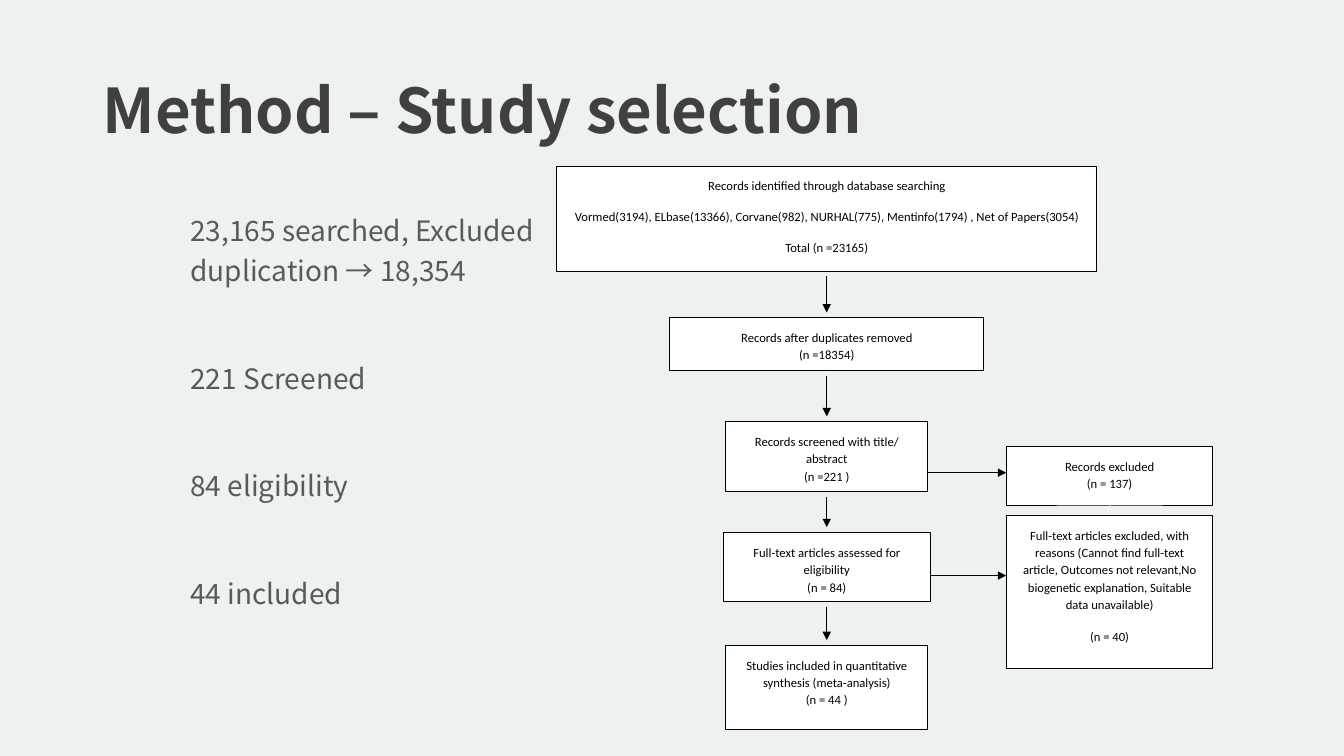
from dataclasses import dataclass
from itertools import pairwise

from lxml.etree import SubElement
from pptx import Presentation
from pptx.dml.color import RGBColor
from pptx.enum.shapes import MSO_CONNECTOR, MSO_SHAPE
from pptx.enum.text import MSO_ANCHOR, PP_ALIGN
from pptx.oxml.ns import qn
from pptx.util import Inches, Pt


@dataclass(frozen=True)
class Theme:
    background: RGBColor = RGBColor(0xEE, 0xF1, 0xF1)
    title: RGBColor = RGBColor(0x40, 0x40, 0x40)
    body: RGBColor = RGBColor(0x59, 0x59, 0x59)
    ink: RGBColor = RGBColor(0, 0, 0)
    box: RGBColor = RGBColor(0xFF, 0xFF, 0xFF)
    text_font: str = "Noto Sans CJK KR"
    flow_font: str = "Calibri"
    title_size: Pt = Pt(44)
    body_size: Pt = Pt(20)
    flow_size: Pt = Pt(9)
    line_width: Pt = Pt(0.75)


THEME = Theme()

SUMMARY = [
    "23,165 searched, Excluded duplication → 18,354",
    "221 Screened",
    "84 eligibility",
    "44 included",
]


@dataclass(frozen=True)
class Stage:
    """One flow box: top within the diagram, size, and paragraphs of lines."""
    top: float
    width: float
    height: float
    paragraphs: list
    line_spacing: object = 1.15


STAGES = [
    Stage(0, 5.36, 1.04, [
        ["Records identified through database searching"],
        ["Vormed(3194), ELbase(13366), Corvane(982), NURHAL(775), "
         "Mentinfo(1794) , Net of Papers(3054)"],
        ["Total (n =23165)"],
    ], Pt(12)),
    Stage(1.5, 3.11, 0.53, [["Records after duplicates removed", "(n =18354)"]]),
    Stage(2.53, 2, 0.7, [["Records screened with title/", "abstract", "(n =221 )"]]),
    Stage(3.63, 2.05, 0.69, [["Full-text articles assessed for eligibility", "(n = 84)"]]),
    Stage(4.75, 2, 0.84, [
        ["Studies included in quantitative synthesis (meta-analysis)", "(n = 44 )"],
    ]),
]

# (stage it leaves, arrow height within the diagram, excluded records)
EXCLUSIONS = [
    (STAGES[2], 3.04, Stage(2.78, 2.05, 0.59, [["Records excluded", "(n = 137)"]])),
    (STAGES[3], 4.06, Stage(3.46, 2.05, 1.52, [
        ["Full-text articles excluded, with reasons (Cannot find full-text article, "
         "Outcomes not relevant,No biogenetic explanation, Suitable data unavailable)"],
        ["(n = 40)"],
    ])),
]


def add_run(paragraph, text, font_name, size, color, bold=False):
    run = paragraph.add_run()
    run.text = text
    run.font.name, run.font.size, run.font.bold = font_name, size, bold
    run.font.color.rgb = color
    ea = SubElement(run.font._element, qn("a:ea"))
    ea.set("typeface", font_name)


def add_title(slide, left, top, width, height):
    frame = slide.shapes.add_textbox(*map(Inches, (left, top, width, height))).text_frame
    frame.word_wrap = True
    frame.vertical_anchor = MSO_ANCHOR.MIDDLE
    heading = frame.paragraphs[0]
    heading.line_spacing = 0.9
    add_run(heading, "Method – Study selection",
            THEME.text_font, THEME.title_size, THEME.title, bold=True)


def add_summary(slide, left, top, width, height):
    frame = slide.shapes.add_textbox(*map(Inches, (left, top, width, height))).text_frame
    frame.word_wrap = True
    for index, finding in enumerate(SUMMARY):
        paragraph = frame.add_paragraph() if index else frame.paragraphs[0]
        paragraph.line_spacing = 1.2
        if index:
            paragraph.space_before = Pt(48)
        add_run(paragraph, finding, THEME.text_font, THEME.body_size, THEME.body)


def add_stage(slide, left, top, stage):
    box = slide.shapes.add_shape(
        MSO_SHAPE.RECTANGLE, *map(Inches, (left, top, stage.width, stage.height)))
    box.shadow.inherit = False
    box.fill.solid()
    box.fill.fore_color.rgb = THEME.box
    box.line.color.rgb = THEME.ink
    box.line.width = THEME.line_width
    frame = box.text_frame
    frame.word_wrap = True
    frame.vertical_anchor = MSO_ANCHOR.TOP
    frame.margin_left = frame.margin_right = Inches(0.11)
    frame.margin_top = frame.margin_bottom = Inches(0.1)
    for index, lines in enumerate(stage.paragraphs):
        paragraph = frame.add_paragraph() if index else frame.paragraphs[0]
        paragraph.alignment = PP_ALIGN.CENTER
        paragraph.line_spacing = stage.line_spacing
        paragraph.space_after = Pt(10)
        for number, line in enumerate(lines):
            if number:
                paragraph.add_line_break()
            add_run(paragraph, line, THEME.flow_font, THEME.flow_size, THEME.ink)


def add_arrow(slide, x1, y1, x2, y2):
    arrow = slide.shapes.add_connector(
        MSO_CONNECTOR.STRAIGHT, *map(Inches, (x1, y1, x2, y2)))
    arrow.line.color.rgb = THEME.ink
    arrow.line.width = THEME.line_width
    properties = arrow._element.spPr
    SubElement(properties.find(qn("a:ln")), qn("a:tailEnd")).set("type", "triangle")
    SubElement(properties, qn("a:effectLst"))


def add_flow(slide, left, top, width):
    """Centre the stages on one axis, with exclusions flush to the right edge."""
    axis = left + 2.67
    gap = 0.05
    for stage in STAGES:
        add_stage(slide, axis - stage.width / 2, top + stage.top, stage)
    for upper, lower in pairwise(STAGES):
        add_arrow(slide, axis, top + upper.top + upper.height + gap,
                  axis, top + lower.top - gap)
    for source, arrow_top, excluded in EXCLUSIONS:
        excluded_left = left + width - excluded.width
        add_stage(slide, excluded_left, top + excluded.top, excluded)
        add_arrow(slide, axis + source.width / 2, top + arrow_top,
                  excluded_left, top + arrow_top)


def main():
    presentation = Presentation()
    presentation.slide_width = Inches(13.33)
    presentation.slide_height = Inches(7.5)
    slide = presentation.slides.add_slide(presentation.slide_layouts[6])
    slide.background.fill.solid()
    slide.background.fill.fore_color.rgb = THEME.background
    add_title(slide, 0.92, 0.4, 11.5, 1.45)
    add_summary(slide, 1.79, 2, 3.83, 4.76)
    add_flow(slide, 5.53, 1.65, 6.5)
    presentation.save("out.pptx")


if __name__ == "__main__":
    main()
